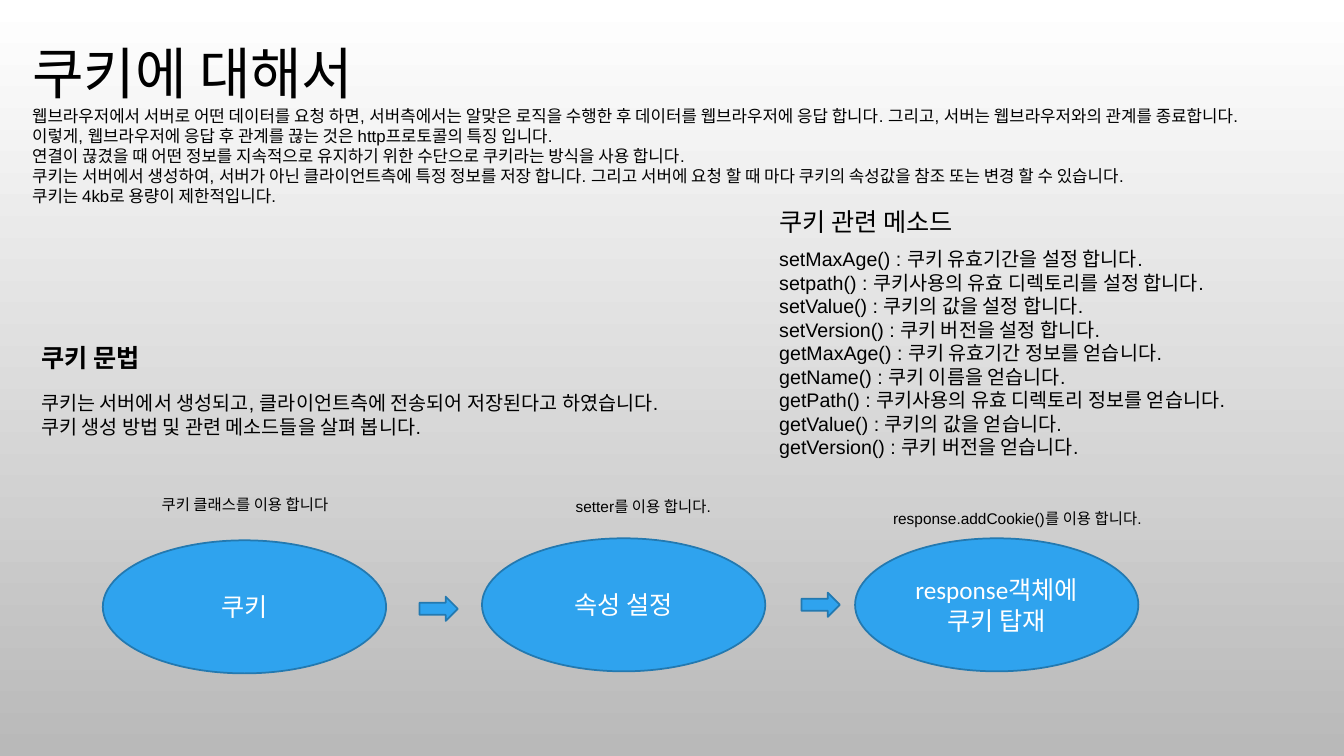
from dataclasses import dataclass

from pptx import Presentation
from pptx import util as u
from pptx.dml.color import RGBColor
from pptx.enum import shapes, text


@dataclass(frozen=True)
class Theme:
    """Colours, fonts and type sizes of the slide."""
    black: str = "000000"
    white: str = "FFFFFF"
    grey: str = "B9B9B9"
    blue: str = "2FA3EE"
    edge: str = "2379B0"
    body: str = "Arial"
    display: str = "Calibri"
    title: int = 40
    heading: int = 18
    normal: int = 14
    small: int = 12
    caption: int = 11


T = Theme()
WIDTH, HEIGHT = u.Inches(13.33), u.Inches(7.5)

INTRO = [
    "웹브라우저에서 서버로 어떤 데이터를 요청 하면, 서버측에서는 알맞은 로직을 수행한 후 데이터를 "
    "웹브라우저에 응답 합니다. 그리고, 서버는 웹브라우저와의 관계를 종료합니다. 이렇게, "
    "웹브라우저에 응답 후 관계를 끊는 것은 http프로토콜의 특징 입니다.",
    "연결이 끊겼을 때 어떤 정보를 지속적으로 유지하기 위한 수단으로 쿠키라는 방식을 사용 합니다.",
    "쿠키는 서버에서 생성하여, 서버가 아닌 클라이언트측에 특정 정보를 저장 합니다. "
    "그리고 서버에 요청 할 때 마다 쿠키의 속성값을 참조 또는 변경 할 수 있습니다.",
    "쿠키는 4kb로 용량이 제한적입니다.",
]
GRAMMAR = [
    "쿠키는 서버에서 생성되고, 클라이언트측에 전송되어 저장된다고 하였습니다.",
    "쿠키 생성 방법 및 관련 메소드들을 살펴 봅니다.",
]
METHODS = [
    "setMaxAge() : 쿠키 유효기간을 설정 합니다.",
    "setpath() : 쿠키사용의 유효 디렉토리를 설정 합니다.",
    "setValue() : 쿠키의 값을 설정 합니다.",
    "setVersion() : 쿠키 버전을 설정 합니다.",
    "getMaxAge() : 쿠키 유효기간 정보를 얻습니다.",
    "getName() : 쿠키 이름을 얻습니다.",
    "getPath() : 쿠키사용의 유효 디렉토리 정보를 얻습니다.",
    "getValue() : 쿠키의 값을 얻습니다.",
    "getVersion() : 쿠키 버전을 얻습니다.",
]
# step label, ellipse left and top, caption, caption box
STEPS = [
    ("쿠키", 7.65, 71.47, "쿠키 클래스를 이용 합니다", (10.13, 64.8, 16.2, 3.87)),
    ("속성 설정", 35.86, 71.2, "setter를 이용 합니다.", (39.76, 65.07, 16.2, 3.87)),
    ("response객체에 쿠키 탑재", 63.62, 71.2, "response.addCookie()를 이용 합니다.",
     (64.44, 66.67, 22.51, 3.87)),
]
ARROWS = [(31.21, 78.93), (59.64, 78.4)]


def place(left, top, width, height):
    """Turn percentages of the slide into lengths."""
    return (int(WIDTH * left / 100), int(HEIGHT * top / 100),
            int(WIDTH * width / 100), int(HEIGHT * height / 100))


def write(tf, lines, size=T.normal, font=T.body, color=T.black, bold=False,
          align=text.PP_ALIGN.LEFT):
    """Append formatted paragraphs to a text frame."""
    for line in lines:
        p = tf.paragraphs[-1]
        if p.runs:
            p = tf.add_paragraph()
        p.alignment = align
        r = p.add_run()
        r.text = line
        r.font.size, r.font.name, r.font.bold = u.Pt(size), font, bold
        r.font.color.rgb = RGBColor.from_string(color)


def add_text(s, box, lines, wrap=True, **style):
    """Add a text box that grows with its text."""
    tf = s.shapes.add_textbox(*place(*box)).text_frame
    tf.word_wrap = wrap
    tf.auto_size = text.MSO_AUTO_SIZE.SHAPE_TO_FIT_TEXT
    write(tf, lines, **style)
    return tf


def add_blue(s, kind, box):
    """Add a blue outlined preset shape."""
    sp = s.shapes.add_shape(kind, *place(*box))
    sp.shadow.inherit = False
    sp.fill.solid()
    sp.fill.fore_color.rgb = RGBColor.from_string(T.blue)
    sp.line.color.rgb = RGBColor.from_string(T.edge)
    sp.line.width = u.Pt(1.25)
    return sp


def add_step(s, label, left, top, caption, caption_box):
    """Add one ellipse of the flow and the caption above it."""
    sp = add_blue(s, shapes.MSO_SHAPE.OVAL, (left, top, 21.08, 17.6))
    tf = sp.text_frame
    tf.word_wrap = True
    tf.vertical_anchor = text.MSO_ANCHOR.MIDDLE
    center = text.PP_ALIGN.CENTER
    write(tf, [label], size=T.heading, font=T.display, color=T.white, align=center)
    add_text(s, caption_box, [caption], size=T.caption, align=center)


def paint_background(s):
    """Fill the background from white down to grey."""
    fill = s.background.fill
    fill.gradient()
    fill.gradient_angle = 270
    for stop, color, position in zip(fill.gradient_stops, (T.white, T.grey), (0, 1)):
        stop.color.rgb = RGBColor.from_string(color)
        stop.position = position


def main():
    """Build and save the slide."""
    prs = Presentation()
    prs.slide_width, prs.slide_height = WIDTH, HEIGHT
    s = prs.slides.add_slide(prs.slide_layouts[6])
    paint_background(s)

    tf = add_text(s, (1.65, 4.4, 91.3, 26.53), ["쿠키에 대해서"],
                  size=T.title, font=T.display)
    write(tf, INTRO, size=T.small)

    add_text(s, (2.33, 44.67, 9.75, 5.33), ["쿠키 문법"], wrap=False,
             size=T.heading, bold=True)
    add_text(s, (2.33, 51.07, 52.36, 7.6), GRAMMAR, wrap=False)
    add_text(s, (57.24, 26.67, 16.13, 5.33), ["쿠키 관련 메소드"], wrap=False,
             size=T.heading)
    add_text(s, (57.24, 32, 34.66, 35.87), METHODS)

    for step in STEPS:
        add_step(s, *step)
    for left, top in ARROWS:
        add_blue(s, shapes.MSO_SHAPE.RIGHT_ARROW, (left, top, 2.85, 3.2))
    prs.save("out.pptx")


main()
